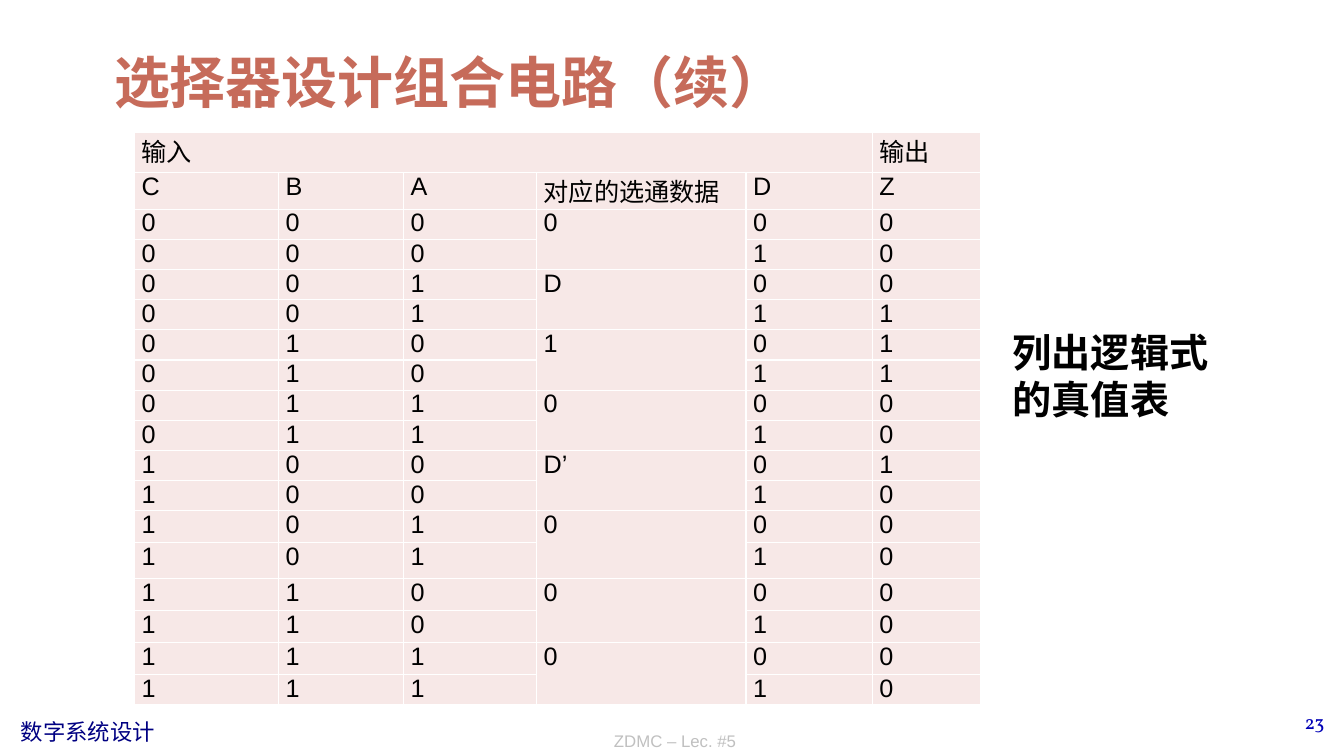
from lxml import etree
from pptx import Presentation
from pptx.dml.color import RGBColor
from pptx.enum.text import MSO_ANCHOR, PP_ALIGN
from pptx.oxml.ns import qn
from pptx.util import Cm, Pt

TOP, BOTTOM = MSO_ANCHOR.TOP, MSO_ANCHOR.BOTTOM
LEFT, CENTER, RIGHT, JUSTIFY = PP_ALIGN.LEFT, PP_ALIGN.CENTER, PP_ALIGN.RIGHT, PP_ALIGN.JUSTIFY
TITLE_ONLY = 5
HEADING_FONT = "Noto Sans CJK SC"
COLORS = {
    "title": "C66B5A", "text": "000000", "cell": "F7E8E7", "border": "FFFFFF",
    "course": "000082", "number": "0000B6", "lecture": "C0C0C0",
}
COLUMN_WIDTHS = [3.63, 3.15, 3.35, 5.28, 3.18, 2.74]
ROW_HEIGHTS = [1.02, 0.91] + [0.76] * 10 + [0.81, 0.89, 0.81, 0.81, 0.81, 0.76]
HEADERS = ["C", "B", "A", "对应的选通数据", "D", "Z"]
GATED_DATA = ["0", "D", "1", "0", "D’", "0", "0", "0"]
OUTPUTS = {"0": "00", "1": "11", "D": "01", "D’": "10"}


def format_text(text_frame, text, font, size, color, align=LEFT, bold=False):
    """Write one paragraph and format its run."""
    text_frame.text = text
    paragraph = text_frame.paragraphs[0]
    paragraph.alignment = align
    run = paragraph.runs[0]
    run.font.name = font
    run.font.size = Pt(size)
    run.font.bold = bold
    run.font.color.rgb = RGBColor.from_string(COLORS[color])
    if font == HEADING_FONT:
        etree.SubElement(run.font._element, qn("a:ea"), typeface=font)
        paragraph.line_spacing = Pt(size * 1.2)


def add_title(slide, left, top, width, height):
    """Place and format the title placeholder."""
    title = slide.shapes.title
    title.left, title.top, title.width, title.height = Cm(left), Cm(top), Cm(width), Cm(height)
    title.text_frame.vertical_anchor = BOTTOM
    format_text(title.text_frame, "选择器设计组合电路（续）", HEADING_FONT, 40, "title", bold=True)


def add_label(slide, box, text, font, size, color, align=LEFT, anchor=TOP, bold=False, wrap=True):
    """Add a text box with one paragraph."""
    text_frame = slide.shapes.add_textbox(*map(Cm, box)).text_frame
    text_frame.word_wrap = wrap
    text_frame.vertical_anchor = anchor
    format_text(text_frame, text, font, size, color, align, bold)


def format_cell(cell, text):
    """Fill a cell, draw its borders and write its text."""
    cell.fill.solid()
    cell.fill.fore_color.rgb = RGBColor.from_string(COLORS["cell"])
    cell.margin_left = cell.margin_right = Cm(0.18)
    cell.margin_top = cell.margin_bottom = 0
    properties = cell._tc.get_or_add_tcPr()
    for position, side in enumerate(("lnL", "lnR", "lnT", "lnB")):
        line = etree.Element(qn(f"a:{side}"), w=str(Pt(1)))
        fill = etree.SubElement(line, qn("a:solidFill"))
        etree.SubElement(fill, qn("a:srgbClr"), val=COLORS["border"])
        properties.insert(position, line)
    if text:
        format_text(cell.text_frame, text, "Arial", 18, "text", JUSTIFY)


def truth_rows():
    """Return the table text, two rows for each selector address."""
    rows = [["输入", "", "", "", "", "输出"], HEADERS]
    for address, data in enumerate(GATED_DATA):
        for d_value, output in enumerate(OUTPUTS[data]):
            gated = "" if d_value else data
            rows.append([*f"{address:03b}", gated, str(d_value), output])
    return rows


def add_truth_table(slide, left, top):
    """Add the truth table with its merged cells."""
    table = slide.shapes.add_table(
        len(ROW_HEIGHTS), len(COLUMN_WIDTHS), Cm(left), Cm(top),
        Cm(sum(COLUMN_WIDTHS)), Cm(sum(ROW_HEIGHTS))).table
    table.first_row = table.horz_banding = False
    for column, width in zip(table.columns, COLUMN_WIDTHS):
        column.width = Cm(width)
    for row, height, texts in zip(table.rows, ROW_HEIGHTS, truth_rows()):
        row.height = Cm(height)
        for cell, text in zip(row.cells, texts):
            format_cell(cell, text)
    table.cell(0, 0).merge(table.cell(0, 4))
    for row_index in range(2, len(ROW_HEIGHTS), 2):
        table.cell(row_index, 3).merge(table.cell(row_index + 1, 3))


def add_footer(slide, top):
    """Add the course name, lecture label and slide number."""
    add_label(slide, (0.28, top + 0.2, 3.94, 0.94), "数字系统设计",
              "Times New Roman", 16, "course", wrap=False)
    add_label(slide, (26.57, top, 7.06, 1.27), "23", "Vollkorn", 14, "number", RIGHT)
    add_label(slide, (8.76, top, 16.51, 1.27), "ZDMC – Lec. #5",
              "Arial", 12, "lecture", CENTER, BOTTOM)


def main():
    """Build the slide and save it."""
    presentation = Presentation()
    presentation.slide_width, presentation.slide_height = Cm(33.87), Cm(19.05)
    slide = presentation.slides.add_slide(presentation.slide_layouts[TITLE_ONLY])
    add_title(slide, 2.62, 1.12, 25.15, 1.9)
    add_truth_table(slide, 3.39, 3.33)
    add_label(slide, (25.27, 8.15, 6.2, 3.84), "列出逻辑式的真值表",
              HEADING_FONT, 28, "text", bold=True)
    add_footer(slide, 17.77)
    presentation.save("out.pptx")


if __name__ == "__main__":
    main()
